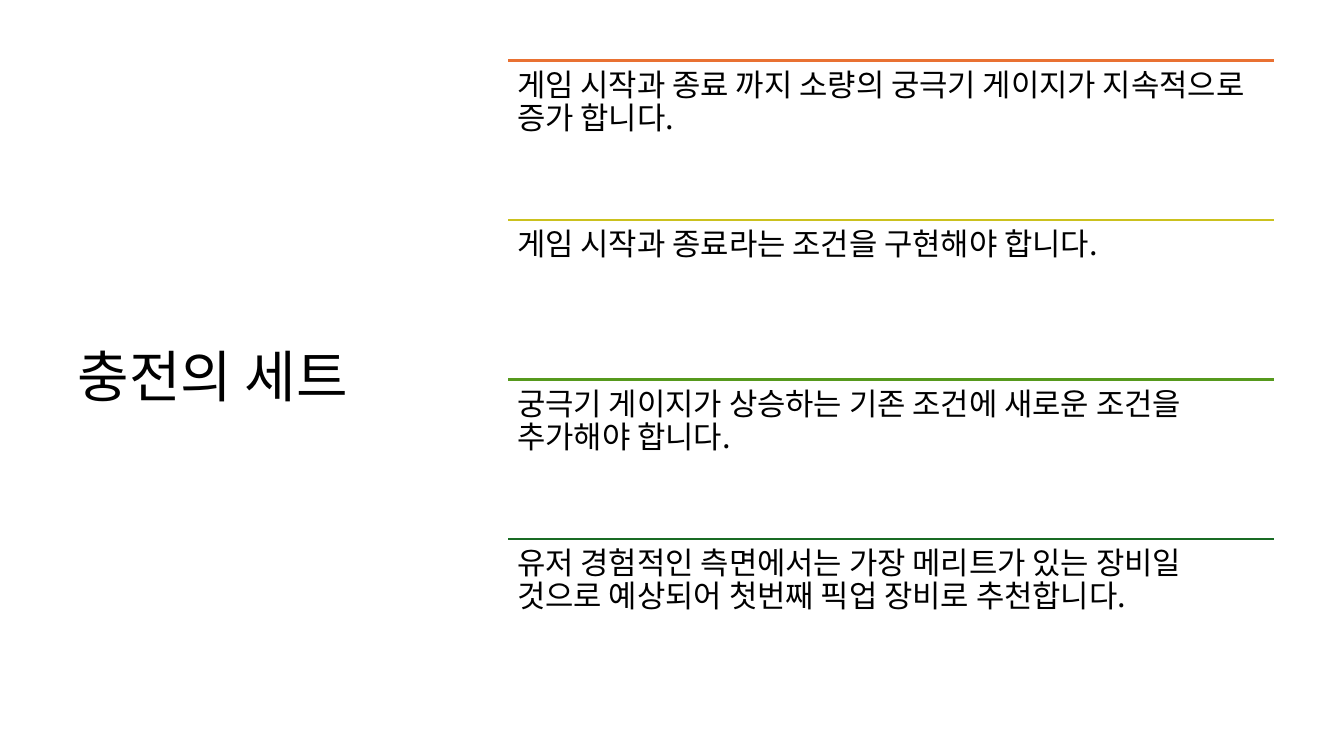
from lxml.etree import SubElement
from pptx import Presentation
from pptx.dml.color import RGBColor
from pptx.enum.shapes import MSO_CONNECTOR
from pptx.enum.text import MSO_ANCHOR, MSO_AUTO_SIZE, PP_ALIGN
from pptx.oxml.ns import qn
from pptx.util import Inches, Pt


def rgb(value):
    return RGBColor.from_string(value)


class Deck:
    font = "Noto Sans CJK KR"
    ink = "000000"

    def __init__(self, prs):
        self.s = prs.slides.add_slide(prs.slide_layouts[5])

    def fill_text(self, tf, text, size, anchor):
        tf.word_wrap = True
        tf.auto_size = MSO_AUTO_SIZE.NONE
        tf.vertical_anchor = anchor
        p = tf.paragraphs[0]
        p.alignment = PP_ALIGN.LEFT
        p.line_spacing = 0.9
        r = p.add_run()
        r.text = text
        r.font.size = Pt(size)
        r.font.color.rgb = rgb(self.ink)
        r.font.name = self.font
        SubElement(r.font._element, qn("a:ea"), typeface=self.font)

    def title(self, text, left, top, width, height):
        sp = self.s.shapes.title
        sp.left, sp.top = Inches(left), Inches(top)
        sp.width, sp.height = Inches(width), Inches(height)
        self.fill_text(sp.text_frame, text, 40, MSO_ANCHOR.MIDDLE)

    def rule(self, left, top, width, color):
        line = self.s.shapes.add_connector(
            MSO_CONNECTOR.STRAIGHT,
            Inches(left), Inches(top), Inches(left + width), Inches(top))
        line.line.color.rgb = rgb(color)
        line.line.width = Pt(1.5)
        SubElement(line._element.spPr, qn("a:effectLst"))

    def text(self, text, left, top, width, height):
        sp = self.s.shapes.add_textbox(
            Inches(left), Inches(top), Inches(width), Inches(height))
        tf = sp.text_frame
        tf.margin_left = tf.margin_right = Inches(0.09)
        tf.margin_top = tf.margin_bottom = Inches(0.09)
        self.fill_text(tf, text, 22, MSO_ANCHOR.TOP)


POINTS = [
    ("E97132", "게임 시작과 종료 까지 소량의 궁극기 게이지가 지속적으로 증가 합니다."),
    ("CBC11E", "게임 시작과 종료라는 조건을 구현해야 합니다."),
    ("56991D", "궁극기 게이지가 상승하는 기존 조건에 새로운 조건을 추가해야 합니다."),
    ("196B24", "유저 경험적인 측면에서는 가장 메리트가 있는 장비일 것으로 예상되어 "
               "첫번째 픽업 장비로 추천합니다."),
]
TOP, HEIGHT = 0.6, 6.33
LEFT, WIDTH = 5.04, 7.6


def main():
    prs = Presentation()
    prs.slide_width, prs.slide_height = Inches(13.33), Inches(7.5)
    deck = Deck(prs)
    deck.title("충전의 세트", 0.67, TOP, 3.82, HEIGHT)
    row = HEIGHT / len(POINTS)
    for i, (color, text) in enumerate(POINTS):
        top = TOP + i * row
        deck.rule(LEFT, top, WIDTH, color)
        deck.text(text, LEFT, top, WIDTH, row)
    prs.save("out.pptx")


if __name__ == "__main__":
    main()
